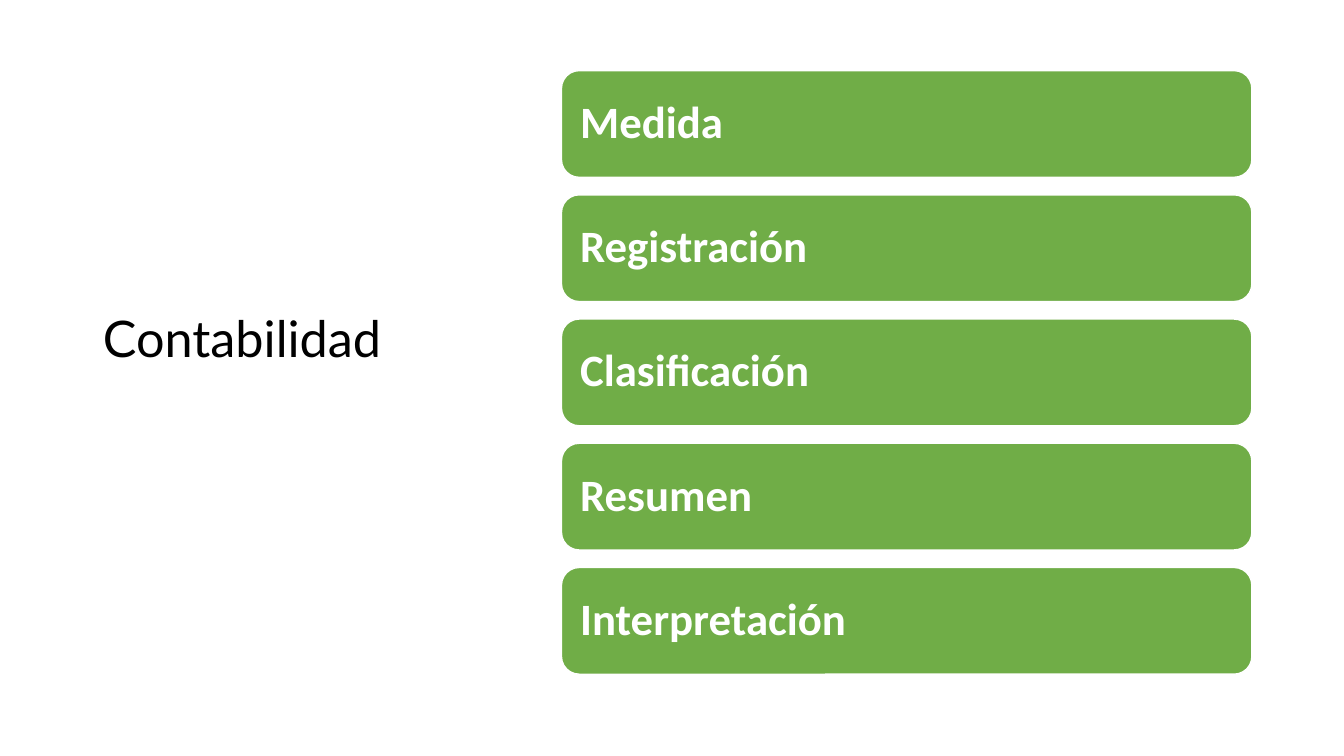
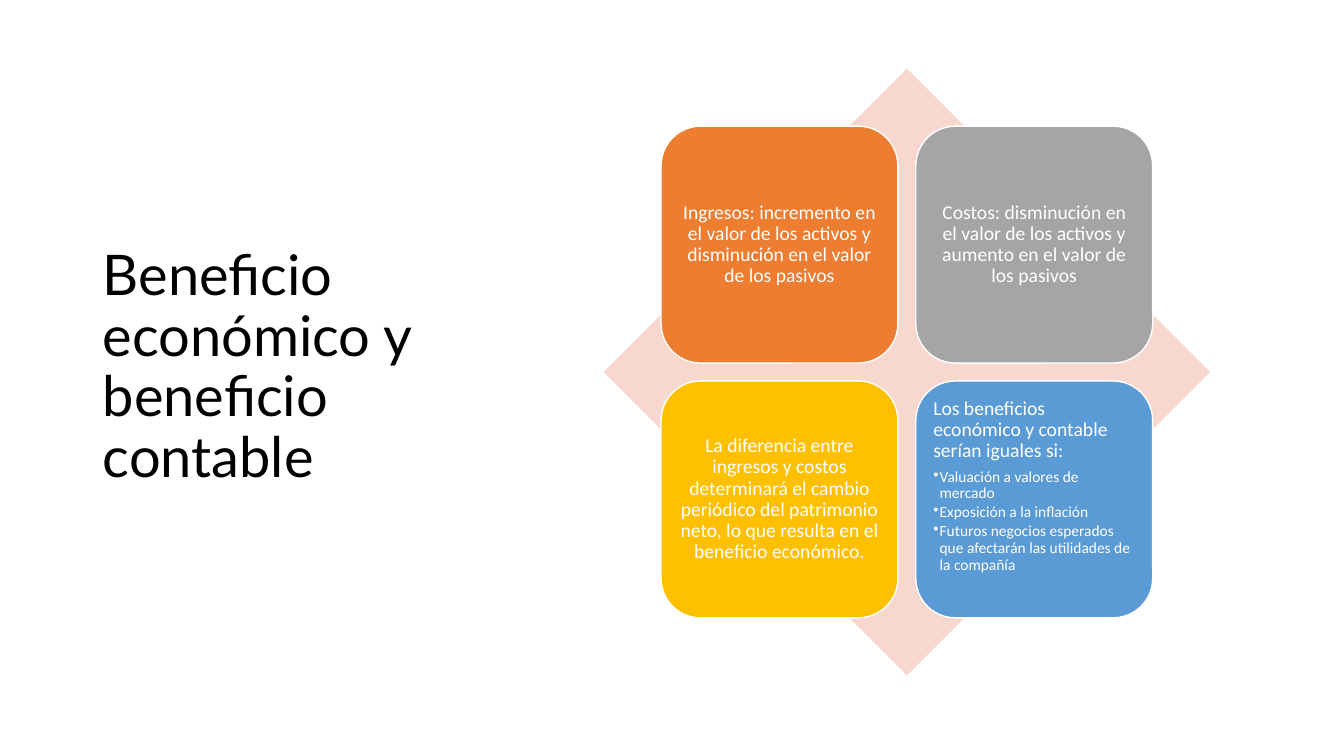
from dataclasses import dataclass

from lxml import etree
from pptx import Presentation
from pptx import util as u
from pptx.dml.color import RGBColor
from pptx.enum import shapes, text
from pptx.oxml.ns import qn
from pptx.shapes.autoshape import Shape
from pptx.slide import Slide


@dataclass(frozen=True)
class Theme:
    black: str = "000000"
    white: str = "FFFFFF"
    green: str = "70AD47"
    pink: str = "F8D7CE"
    orange: str = "ED7D31"
    grey: str = "A5A5A5"
    gold: str = "FFC000"
    blue: str = "5B9BD5"
    title_font: str = "Lato"
    body_font: str = "Calibri"
    short_title_size: int = 36
    long_title_size: int = 40
    stage_size: int = 32
    concept_size: int = 14
    condition_size: int = 11
    line_spacing: float = 0.9


@dataclass(frozen=True)
class Box:
    left: float
    top: float
    width: float
    height: float


@dataclass(frozen=True)
class Card:
    label: str
    fill: str
    conditions: tuple[str, ...] = ()


THEME = Theme()
TITLE_BOX = Box(2.34, 1.55, 9.37, 15.47)

STAGES = ("Medida", "Registración", "Clasificación", "Resumen", "Interpretación")
FIRST_STAGE = Box(14.15, 1.78, 17.4, 2.69)
STAGE_PITCH = 3.13

CONCEPTS = (
    Card("Ingresos: incremento en el valor de los activos y disminución "
         "en el valor de los pasivos", THEME.orange),
    Card("Costos: disminución en el valor de los activos y aumento "
         "en el valor de los pasivos", THEME.grey),
    Card("La diferencia entre ingresos y costos determinará el cambio periódico "
         "del patrimonio neto, lo que resulta en el beneficio económico.", THEME.gold),
    Card("Los beneficios económico y contable serían iguales si:", THEME.blue, (
        "Valuación a valores de mercado",
        "Exposición a la inflación",
        "Futuros negocios esperados que afectarán las utilidades de la compañía",
    )),
)
DIAMOND = Box(15.21, 1.73, 15.29, 15.29)
CONCEPT_SIDE = 5.97
CONCEPT_GAP = 0.45


def style_paragraph(paragraph, size: int, color: str, font: str, bold: bool = False) -> None:
    paragraph.line_spacing = THEME.line_spacing
    paragraph.font.size = u.Pt(size)
    paragraph.font.name = font
    paragraph.font.bold = bold
    paragraph.font.color.rgb = RGBColor.from_string(color)


def add_titled_slide(deck, title: str, size: int, lift: float = 0) -> Slide:
    slide = deck.slides.add_slide(deck.slide_layouts[5])
    heading = slide.shapes.title
    heading.left, heading.top = u.Cm(TITLE_BOX.left), u.Cm(TITLE_BOX.top)
    heading.width, heading.height = u.Cm(TITLE_BOX.width), u.Cm(TITLE_BOX.height)
    frame = heading.text_frame
    frame.text = title
    frame.word_wrap = True
    frame.auto_size = text.MSO_AUTO_SIZE.NONE
    frame.vertical_anchor = text.MSO_ANCHOR.MIDDLE
    frame.margin_bottom = u.Cm(0.13 + lift)
    frame.paragraphs[0].alignment = text.PP_ALIGN.LEFT
    style_paragraph(frame.paragraphs[0], size, THEME.black, THEME.title_font)
    return slide


def add_panel(slide: Slide, kind: shapes.MSO_SHAPE, box: Box, fill: str,
              outlined: bool = True) -> Shape:
    panel = slide.shapes.add_shape(kind, u.Cm(box.left), u.Cm(box.top),
                                   u.Cm(box.width), u.Cm(box.height))
    panel.shadow.inherit = False
    panel.fill.solid()
    panel.fill.fore_color.rgb = RGBColor.from_string(fill)
    if outlined:
        panel.line.color.rgb = RGBColor.from_string(THEME.white)
        panel.line.width = u.Pt(1)
    else:
        panel.line.fill.background()
    return panel


def write_label(panel: Shape, label: str, size: int, inset: float,
                alignment: text.PP_ALIGN, bold: bool = False) -> None:
    frame = panel.text_frame
    frame.word_wrap = True
    frame.vertical_anchor = text.MSO_ANCHOR.MIDDLE
    frame.margin_left = frame.margin_right = u.Cm(inset)
    frame.margin_top = frame.margin_bottom = u.Cm(inset)
    frame.text = label
    frame.paragraphs[0].alignment = alignment
    style_paragraph(frame.paragraphs[0], size, THEME.white, THEME.body_font, bold)


def add_condition(panel: Shape, condition: str) -> None:
    paragraph = panel.text_frame.add_paragraph()
    paragraph.text = condition
    paragraph.level = 1
    paragraph.alignment = text.PP_ALIGN.LEFT
    indent = u.Cm(0.16)
    properties = paragraph._p.get_or_add_pPr()
    properties.set("marL", str(indent))
    properties.set("indent", str(-indent))
    etree.SubElement(properties, qn("a:buChar"), char="•")
    paragraph.space_after = u.Pt(1.7)
    style_paragraph(paragraph, THEME.condition_size, THEME.white, THEME.body_font)


def add_stage(slide: Slide, row: int, label: str) -> None:
    box = Box(FIRST_STAGE.left, FIRST_STAGE.top + row * STAGE_PITCH,
              FIRST_STAGE.width, FIRST_STAGE.height)
    stage = add_panel(slide, shapes.MSO_SHAPE.ROUNDED_RECTANGLE, box, THEME.green)
    write_label(stage, label, THEME.stage_size, 0.34, text.PP_ALIGN.LEFT, bold=True)


def add_concept(slide: Slide, position: int, card: Card) -> None:
    row, column = divmod(position, 2)
    pitch = CONCEPT_SIDE + CONCEPT_GAP
    margin = (DIAMOND.width - CONCEPT_SIDE - pitch) / 2
    box = Box(DIAMOND.left + margin + column * pitch, DIAMOND.top + margin + row * pitch,
              CONCEPT_SIDE, CONCEPT_SIDE)
    concept = add_panel(slide, shapes.MSO_SHAPE.ROUNDED_RECTANGLE, box, card.fill)
    alignment = text.PP_ALIGN.LEFT if card.conditions else text.PP_ALIGN.CENTER
    write_label(concept, card.label, THEME.concept_size, 0.15, alignment)
    if card.conditions:
        concept.text_frame.vertical_anchor = text.MSO_ANCHOR.TOP
        concept.text_frame.paragraphs[0].space_after = u.Pt(5)
    for condition in card.conditions:
        add_condition(concept, condition)


def build_accounting(deck) -> None:
    slide = add_titled_slide(deck, "Contabilidad", THEME.short_title_size, lift=1.37)
    for row, label in enumerate(STAGES):
        add_stage(slide, row, label)


def build_profit(deck) -> None:
    slide = add_titled_slide(deck, "Beneficio económico y beneficio contable",
                             THEME.long_title_size)
    add_panel(slide, shapes.MSO_SHAPE.DIAMOND, DIAMOND, THEME.pink, outlined=False)
    for position, card in enumerate(CONCEPTS):
        add_concept(slide, position, card)


def main() -> None:
    deck = Presentation()
    deck.slide_width, deck.slide_height = u.Cm(33.87), u.Cm(19.05)
    build_accounting(deck)
    build_profit(deck)
    deck.save("out.pptx")


if __name__ == "__main__":
    main()
